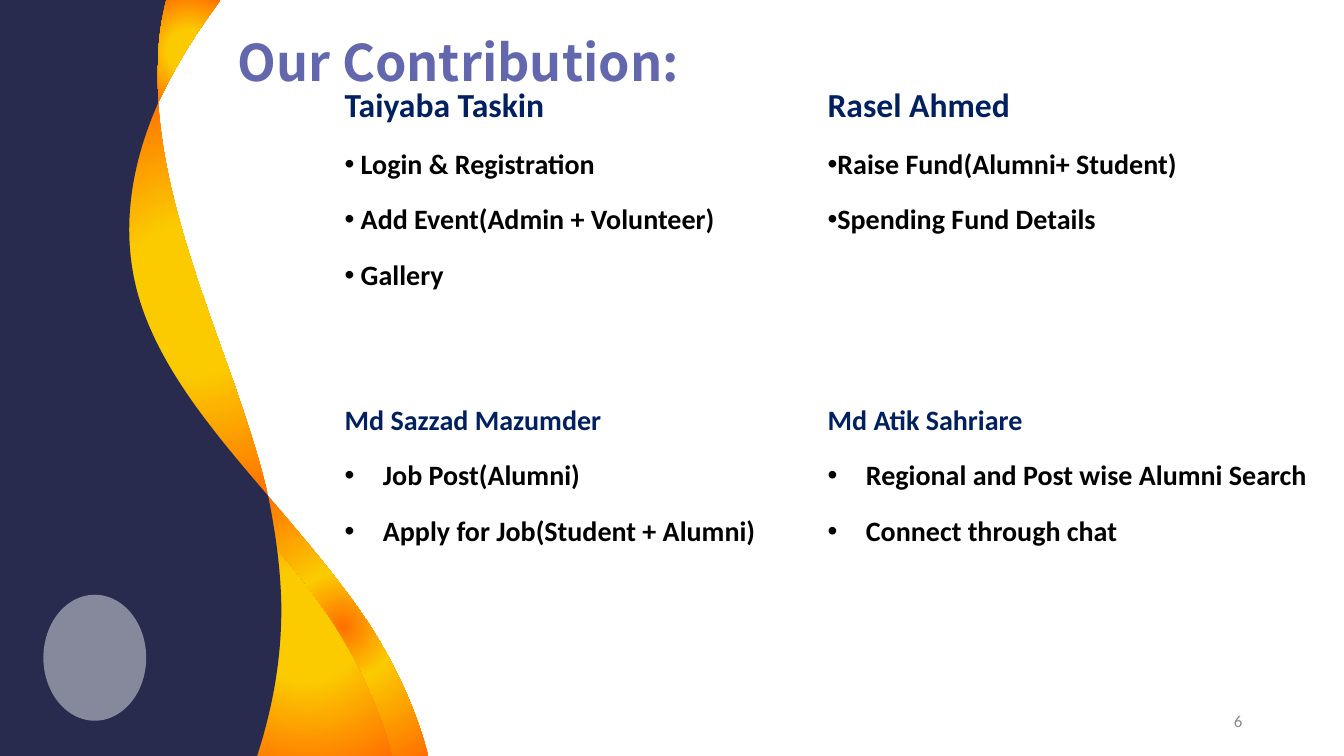
import pptx
import pptx.util
import pptx.dml.color
import pptx.enum.shapes
import pptx.enum.text
import pptx.oxml
import pptx.oxml.ns

Inches, Pt = pptx.util.Inches, pptx.util.Pt
qn = pptx.oxml.ns.qn
ALIGN, ANCHOR = pptx.enum.text.PP_ALIGN, pptx.enum.text.MSO_ANCHOR

NAVY, YELLOW, ORANGE = "282B4D", "FBCB00", "FF7000"
NAME, INK = "002060", "000000"

# Wave outlines in inches: a start, then lines (x, y) or curves (three points)
FALL = [(2.66, 4.92), (2.73, 5.27, 2.78, 5.61, 2.79, 5.97),
        (2.8, 6.5, 2.71, 7.01, 2.55, 7.5), (4.25, 7.5),
        (4.13, 7.05, 3.93, 6.61, 3.66, 6.19),
        (3.37, 5.75, 3.01, 5.34, 2.66, 4.92)]
BAND = [(1.38, 2.96), (1.59, 3.66, 2.12, 4.29, 2.66, 4.92),
        (2.53, 4.37, 2.33, 3.83, 2.14, 3.3),
        (1.88, 2.56, 1.62, 1.8, 1.57, 1.02),
        (1.29, 1.65, 1.19, 2.32, 1.38, 2.96)]
CREST = [(1.65, 0), (1.6, 0.2, 1.57, 0.41, 1.57, 0.61),
         (1.56, 0.75, 1.57, 0.88, 1.57, 1.02)]
TIP = CREST + [(1.73, 0.67, 1.94, 0.33, 2.19, 0)]
SIDE = [(0, 0)] + CREST + [BAND[-1], BAND[1]] + FALL[1:3] + [(0, 7.5)]


def rgb(code):
    return pptx.dml.color.RGBColor.from_string(code)


def paint(shape, color):
    shape.shadow.inherit = False
    shape.fill.solid()
    shape.fill.fore_color.rgb = rgb(color)
    shape.line.fill.background()


def glow(shape, first):
    """Swap the plain fill for a round gradient that ends in orange."""
    stops = "".join(
        f'<a:gs pos="{pos}"><a:srgbClr val="{color}"/></a:gs>'
        for pos, color in ((0, first), (35000, YELLOW), (100000, ORANGE)))
    grad = pptx.oxml.parse_xml(
        f'<a:gradFill {pptx.oxml.ns.nsdecls("a")} rotWithShape="1">'
        f'<a:gsLst>{stops}</a:gsLst><a:path path="circle">'
        '<a:fillToRect l="50000" t="50000" r="50000" b="50000"/>'
        '</a:path></a:gradFill>')
    props = shape._element.spPr
    props.replace(props.find(qn("a:solidFill")), grad)


def bend(shape, outline):
    """Join each curve's three straight steps into one Bezier curve."""
    lines = iter(list(shape._element.spPr.iter(qn("a:lnTo"))))
    for part in outline[1:]:
        line = next(lines)
        if len(part) == 2:
            continue
        curve = line.makeelement(qn("a:cubicBezTo"), {})
        line.addprevious(curve)
        for step in (line, next(lines), next(lines)):
            curve.append(step[0])
            step.getparent().remove(step)


def add_wave(slide, left, outline, color, first=None):
    points = [(Inches(left + x), Inches(y)) for part in outline
              for x, y in zip(part[::2], part[1::2])]
    form = slide.shapes.build_freeform(*points[0], scale=1.0)
    form.add_line_segments(points[1:], close=True)
    shape = form.convert_to_shape()
    bend(shape, outline)
    paint(shape, color)
    if first:
        glow(shape, first)


def add_side(slide, left):
    """Navy side panel with its orange ribbon."""
    add_wave(slide, left, FALL, YELLOW, ORANGE)
    add_wave(slide, left, BAND, YELLOW, YELLOW)
    add_wave(slide, left - 0.36, FALL, YELLOW, YELLOW)
    add_wave(slide, left, SIDE, NAVY)
    add_wave(slide, left, TIP, YELLOW, YELLOW)
    # Plain emblem
    oval = slide.shapes.add_shape(
        pptx.enum.shapes.MSO_SHAPE.OVAL, Inches(left + 0.43), Inches(5.9),
        Inches(1.02), Inches(1.25))
    paint(oval, "86889B")


def add_box(slide, box, anchor=ANCHOR.TOP):
    frame = slide.shapes.add_textbox(*map(Inches, box)).text_frame
    frame.word_wrap = True
    frame.vertical_anchor = anchor
    return frame


def style(para, text, size, color, bold=True, font="Calibri"):
    para.text = text
    para.font.size, para.font.bold, para.font.name = Pt(size), bold, font
    para.font.color.rgb = rgb(color)


def add_title(slide, box, text):
    para = add_box(slide, box, ANCHOR.MIDDLE).paragraphs[0]
    style(para, text, 36, "6367AE", font="Noto Sans CJK KR")
    para.line_spacing = 0.9


def add_bullet(para, indent):
    props = para._p.get_or_add_pPr()
    props.set("marL", str(Inches(indent)))
    props.set("indent", str(-Inches(indent)))
    space = pptx.oxml.ns.nsdecls("a")
    for mark in (f'<a:buClr {space}><a:srgbClr val="{INK}"/></a:buClr>',
                 f'<a:buFont {space} typeface="Arial"/>',
                 f'<a:buChar {space} char="•"/>'):
        props.find(qn("a:defRPr")).addprevious(pptx.oxml.parse_xml(mark))


def add_member(slide, box, name, size, tasks, indent):
    """One member's name above a bulleted list of tasks."""
    frame = add_box(slide, box)
    for row, text in enumerate([name] + tasks):
        para = frame.add_paragraph() if row else frame.paragraphs[0]
        style(para, text, 20 if row else size, INK if row else NAME)
        para.alignment = ALIGN.JUSTIFY
        para.line_spacing, para.space_before = 0.9, Pt(18)
        if row:
            add_bullet(para, indent)


def add_number(slide, box, text):
    para = add_box(slide, box, ANCHOR.MIDDLE).paragraphs[0]
    style(para, text, 12, "888888", bold=False)
    para.alignment = ALIGN.RIGHT


def main():
    deck = pptx.Presentation()
    deck.slide_width, deck.slide_height = Inches(13.33), Inches(7.5)
    slide = deck.slides.add_slide(deck.slide_layouts[6])

    add_side(slide, 0)
    add_title(slide, (2.26, 0.17, 8.34, 0.95), "Our Contribution:")

    # Two by two grid of members
    rows = [
        (0.83, 2.19, 24, 0, [
            ("Taiyaba Taskin", [" Login & Registration",
                                " Add Event(Admin + Volunteer)", " Gallery"]),
            ("Rasel Ahmed", ["Raise Fund(Alumni+ Student)",
                             "Spending Fund Details"])]),
        (3.98, 1.51, 20, 0.38, [
            ("Md Sazzad Mazumder", ["Job Post(Alumni)",
                                    "Apply for Job(Student + Alumni)"]),
            ("Md Atik Sahriare", ["Regional and Post wise Alumni Search",
                                  "Connect through chat"])]),
    ]
    columns = [(3.32, 4.4), (8.11, 5.09)]
    for top, height, size, indent, members in rows:
        for (left, width), (name, tasks) in zip(columns, members):
            add_member(slide, (left, top, width, height), name, size, tasks, indent)

    add_number(slide, (9.42, 6.95, 3, 0.4), "6")
    deck.save("out.pptx")


if __name__ == "__main__":
    main()
